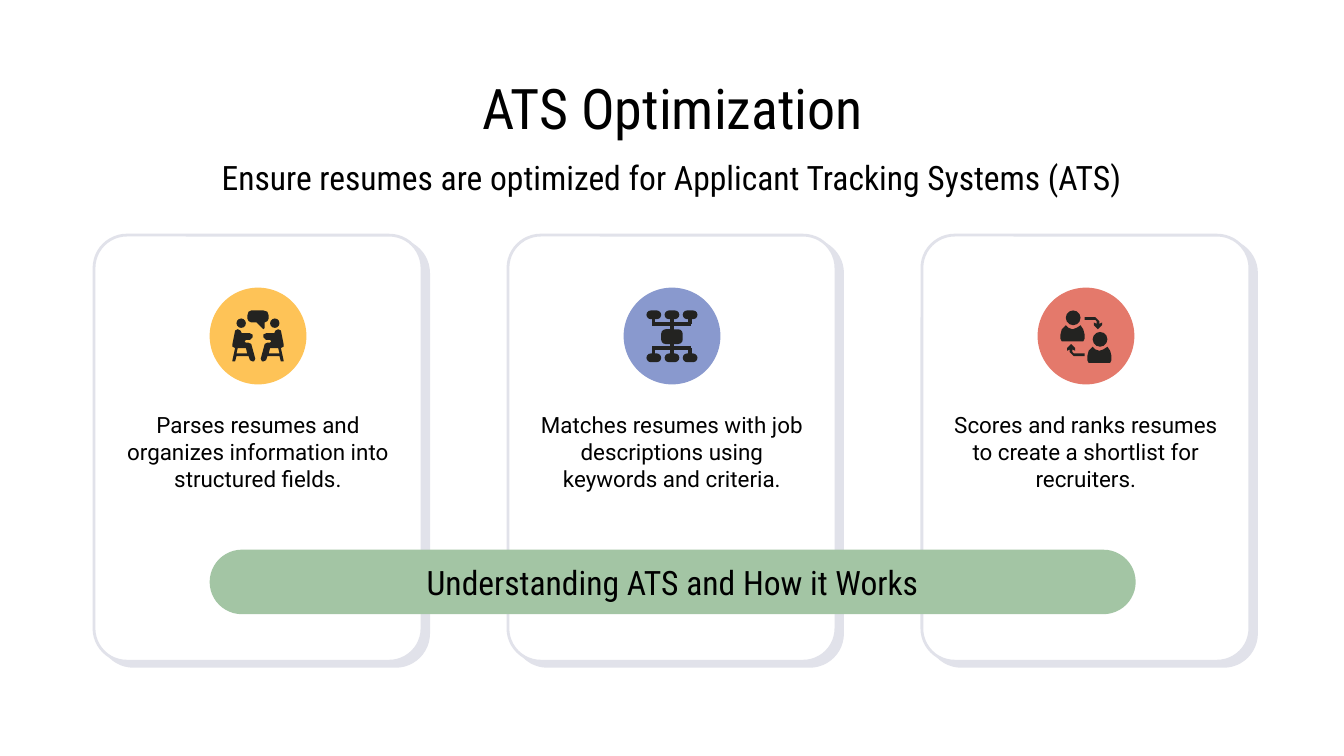
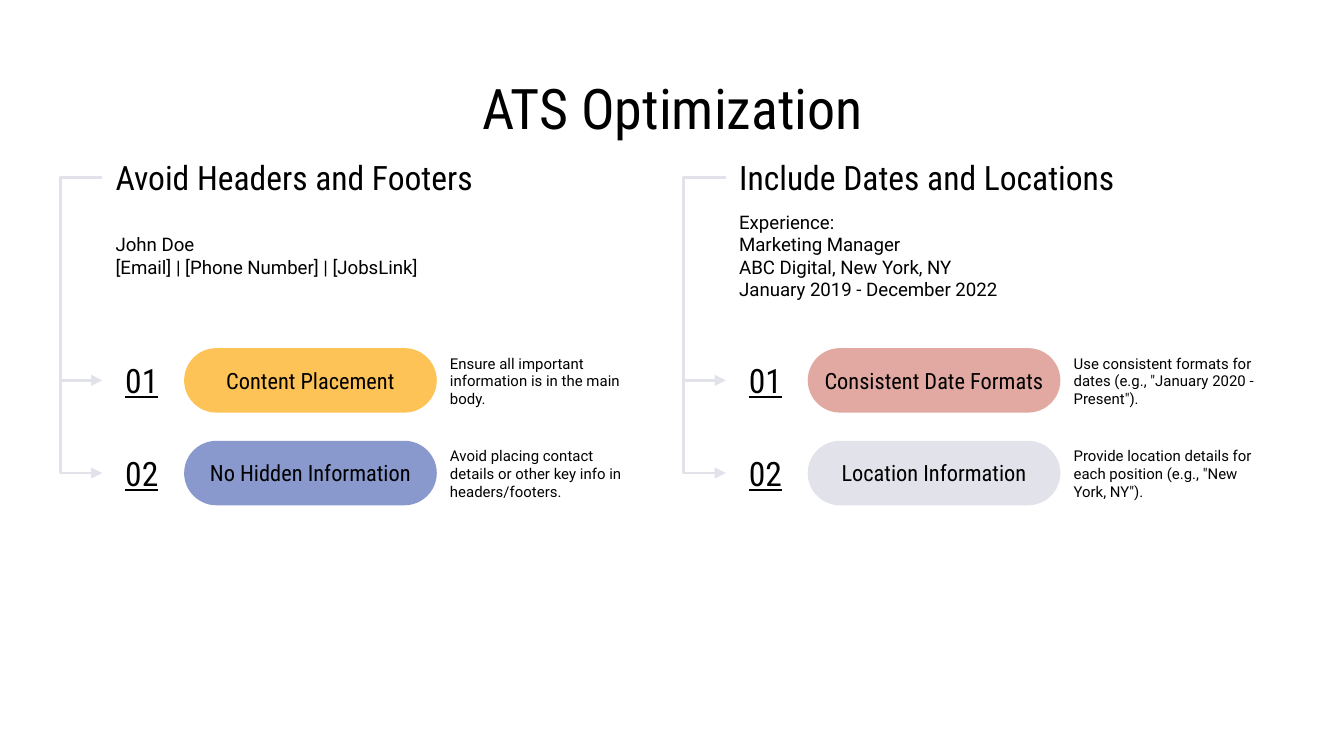
from dataclasses import dataclass

from lxml.etree import SubElement
from pptx import Presentation
from pptx.dml.color import RGBColor
from pptx.enum.shapes import MSO_CONNECTOR, MSO_SHAPE
from pptx.enum.text import MSO_ANCHOR, MSO_AUTO_SIZE, PP_ALIGN
from pptx.oxml.ns import qn
from pptx.util import Emu, Inches, Pt

# Shared look
BLACK = RGBColor(0x00, 0x00, 0x00)
WHITE = RGBColor(0xFF, 0xFF, 0xFF)
INK = RGBColor(0x23, 0x23, 0x21)
MIST = RGBColor(0xE1, 0xE2, 0xEA)
YELLOW = RGBColor(0xFE, 0xC3, 0x57)
BLUE = RGBColor(0x89, 0x99, 0xCE)
RED = RGBColor(0xE4, 0x79, 0x6B)
PINK = RGBColor(0xE2, 0xA8, 0xA2)
GREEN = RGBColor(0xA3, 0xC5, 0xA4)
HEADING_FONT = "Roboto Condensed"
BODY_FONT = "Roboto"
TITLE = "ATS Optimization"

# Square grid: the slide is 100 columns wide
SLIDE_WIDTH = Inches(10)
SLIDE_HEIGHT = SLIDE_WIDTH * 9 // 16
COLUMN = SLIDE_WIDTH // 100
ICON_UNIT = COLUMN // 10


@dataclass
class Box:
    """An area in grid columns and rows."""
    left: float
    top: float
    width: float
    height: float

    def inside(self, left, top, width, height):
        return Box(self.left + left, self.top + top, width, height)

    def lengths(self):
        return [Emu(round(n * COLUMN))
                for n in (self.left, self.top, self.width, self.height)]


TITLE_BOX = Box(7.9, 5.9, 84.3, 4.2)


# Text and shape helpers
def write(shape, lines, size, font=HEADING_FONT, align=PP_ALIGN.CENTER,
          side_inset=0.1, underline=False):
    frame = shape.text_frame
    frame.word_wrap = True
    frame.auto_size = MSO_AUTO_SIZE.NONE
    frame.vertical_anchor = MSO_ANCHOR.MIDDLE
    frame.margin_left = frame.margin_right = Inches(side_inset)
    frame.margin_top = frame.margin_bottom = Inches(0.1)
    frame.text = lines
    for para in frame.paragraphs:
        properties = para._p.get_or_add_pPr()
        properties.set("marL", "0")
        properties.set("indent", "0")
        SubElement(properties, qn("a:buNone"))
        para.alignment = align
        para.space_before = Pt(0)
        para.font.name = font
        para.font.size = Pt(size)
        para.font.bold = False
        para.font.underline = underline
        para.font.color.rgb = BLACK


def fill_placeholder(shape, box, lines, size, **style):
    shape.left, shape.top, shape.width, shape.height = box.lengths()
    write(shape, lines, size, **style)


def add_text(page, box, lines, size, **style):
    write(page.shapes.add_textbox(*box.lengths()), lines, size, **style)


def paint(shape, color):
    shape.shadow.inherit = False
    shape.fill.solid()
    shape.fill.fore_color.rgb = color
    shape.line.fill.background()
    return shape


def add_filled(page, kind, box, color):
    return paint(page.shapes.add_shape(kind, *box.lengths()), color)


def add_pill(page, box, label, size, color):
    pill = add_filled(page, MSO_SHAPE.ROUNDED_RECTANGLE, box, color)
    pill.adjustments[0] = 0.5
    write(pill, label, size, side_inset=0)


def add_line(page, kind, ends, color, width):
    line = page.shapes.add_connector(kind, *(Emu(round(n)) for n in ends))
    line.line.color.rgb = color
    line.line.width = Pt(width)
    SubElement(line._element.spPr, qn("a:effectLst"))
    return line


# Icons, drawn in tenths of a column from the corner of their disc
SITTER = [(21, 31), (19, 32), (17, 42), (17, 44), (19, 45), (17, 54), (17, 55),
          (19, 55), (20, 51), (29, 51), (30, 54), (32, 55), (33, 55), (34, 53),
          (31, 42), (29, 41), (27, 41), (26, 40), (27, 39), (30, 39), (32, 37),
          (32, 35), (30, 34), (24, 34), (23, 32)]
STOOL_GAP = [(27, 45), (28, 49), (20, 49), (21, 45)]
BUBBLE = [(31, 17), (40, 17), (43, 18), (44, 21), (44, 23), (43, 25), (41, 26),
          (41, 30), (40, 31), (39, 30), (35, 26), (31, 26), (29, 25), (28, 23),
          (28, 21), (29, 18)]
SHOULDERS = [(4, 0), (1, 3), (0, 7), (0, 10), (1, 12), (17, 12), (18, 10),
             (18, 7), (17, 3), (15, 0), (12, 2), (9, 3), (6, 2)]
TURN_ARROW = [(35, 22), (43, 22), (46, 25), (46, 27), (48, 26), (48, 28),
              (45, 31), (42, 28), (42, 26), (44, 27), (44, 25), (43, 24),
              (35, 24)]


def icon_part(page, disc, kind, left, top, width, height):
    box = disc.inside(left / 10, top / 10, width / 10, height / 10)
    return add_filled(page, kind, box, INK)


def icon_outline(page, disc, *contours):
    builder = page.shapes.build_freeform(*contours[0][0], scale=ICON_UNIT)
    for contour in contours:
        if contour is not contours[0]:
            builder.move_to(*contour[0])
        builder.add_line_segments(contour[1:], close=True)
    left, top, _, _ = disc.lengths()
    paint(builder.convert_to_shape(left, top), INK)


def icon_line(page, disc, *ends):
    left, top, _, _ = disc.lengths()
    corners = [n * ICON_UNIT + origin for n, origin in zip(ends, (left, top) * 2)]
    add_line(page, MSO_CONNECTOR.STRAIGHT, corners, INK, 1.75)


def draw_interview(page, disc):
    def mirrored(points):
        return [(72 - x, y) for x, y in points]

    icon_outline(page, disc, BUBBLE)
    for head_left in (20, 45):
        icon_part(page, disc, MSO_SHAPE.OVAL, head_left, 23, 7, 7)
    icon_outline(page, disc, SITTER, STOOL_GAP)
    icon_outline(page, disc, mirrored(SITTER), mirrored(STOOL_GAP))


def draw_network(page, disc):
    icon_line(page, disc, 36, 22, 36, 50)
    for node_top, edge, bus in ((17, 23, 27), (49, 50, 45)):
        icon_line(page, disc, 21.5, bus, 50.5, bus)
        for x in (22.5, 49.5):
            icon_line(page, disc, x, edge, x, bus)
        for left in (17, 30.5, 44):
            node = icon_part(page, disc, MSO_SHAPE.ROUNDED_RECTANGLE,
                             left, node_top, 11, 6.5)
            node.adjustments[0] = 0.5
    hub = icon_part(page, disc, MSO_SHAPE.ROUNDED_RECTANGLE, 28, 31, 16, 11)
    hub.adjustments[0] = 0.3


def draw_exchange(page, disc):
    for left, top in ((17, 28), (37, 44)):
        icon_part(page, disc, MSO_SHAPE.OVAL, left + 4, top - 11, 11, 11)
        icon_outline(page, disc, [(x + left, y + top) for x, y in SHOULDERS])
    icon_outline(page, disc, TURN_ARROW)
    icon_outline(page, disc, [(70 - x, 73 - y) for x, y in TURN_ARROW])


# Slide 1: three cards under one banner
CARDS = [
    ("Parses resumes and organizes information into structured fields.",
     YELLOW, draw_interview),
    ("Matches resumes with job descriptions using keywords and criteria.",
     BLUE, draw_network),
    ("Scores and ranks resumes to create a shortlist for recruiters.",
     RED, draw_exchange),
]


def add_card(page, box, text, color, draw_icon):
    card = add_filled(page, MSO_SHAPE.ROUNDED_RECTANGLE, box, WHITE)
    card.adjustments[0] = 0.1
    card.line.color.rgb = MIST
    card.line.width = Pt(1.5)
    # Hard offset shadow
    effects = card._element.spPr.find(qn("a:effectLst"))
    shadow = SubElement(effects, qn("a:outerShdw"), blurRad="0",
                        dist=str(Pt(4.5)), dir=str(38 * 60000),
                        algn="bl", rotWithShape="0")
    SubElement(shadow, qn("a:srgbClr"), val=str(MIST))

    disc = box.inside((box.width - 7.2) / 2, 3.9, 7.2, 7.2)
    add_filled(page, MSO_SHAPE.OVAL, disc, color)
    draw_icon(page, disc)
    add_text(page, box.inside(1.4, 13, box.width - 2.8, 6.2), text, 12,
             font=BODY_FONT)


def build_overview(deck):
    page = deck.slides.add_slide(deck.slide_layouts[0])
    fill_placeholder(page.shapes.title, TITLE_BOX, TITLE, 30)
    fill_placeholder(
        page.placeholders[1], Box(7, 11, 86, 4.4),
        "Ensure resumes are optimized for Applicant Tracking Systems (ATS)", 18)
    area = Box(7, 17.5, 86, 31.7)
    card_width = 24.4
    pitch = (area.width - card_width) / (len(CARDS) - 1)
    for index, card in enumerate(CARDS):
        add_card(page, area.inside(index * pitch, 0, card_width, area.height),
                 *card)
    add_pill(page, area.inside(8.6, 23.4, 68.9, 4.8),
             "Understanding ATS and How it Works", 18, GREEN)


# Slide 2: two panels of numbered tips
PANELS = [
    ("Avoid Headers and Footers",
     "John Doe\n[Email] | [Phone Number] | [JobsLink]",
     [("Content Placement", YELLOW,
       "Ensure all important information is in the main body."),
      ("No Hidden Information", BLUE,
       "Avoid placing contact details or other key info in headers/footers.")]),
    ("Include Dates and Locations",
     "Experience:\nMarketing Manager\nABC Digital, New York, NY\n"
     "January 2019 - December 2022",
     [("Consistent Date Formats", PINK,
       'Use consistent formats for dates (e.g., "January 2020 - Present").'),
      ("Location Information", MIST,
       'Provide location details for each position (e.g., "New York, NY").')]),
]


def add_bracket(page, box, start, end):
    """Arrow that leaves the box to the left and comes back lower down."""
    left, top, _, _ = box.lengths()
    sliver = 600  # a bent connector needs some width for its bend to scale
    bracket = add_line(page, MSO_CONNECTOR.ELBOW,
                       (left, top + start * COLUMN,
                        left + sliver, top + end * COLUMN), MIST, 1.5)
    bend = round(-2.6 * COLUMN / sliver * 100000)
    guides = bracket._element.spPr.find(qn("a:prstGeom")).get_or_add_avLst()
    SubElement(guides, qn("a:gd"), name="adj1", fmla=f"val {bend}")
    SubElement(bracket.line._get_or_add_ln(), qn("a:tailEnd"), type="triangle")


def add_tip(page, box, number, label, color, note):
    add_text(page, box.inside(0, 0.3, 5.9, 4.2), f"{number:02}", 18,
             underline=True)
    add_pill(page, box.inside(6.1, 0, 18.8, box.height), label, 12, color)
    add_text(page, box.inside(24.9, -0.2, 16, 5.3), note, 8,
             font=BODY_FONT, align=PP_ALIGN.LEFT)


def add_panel(page, box, heading_holder, detail_holder, heading, details, tips):
    fill_placeholder(heading_holder, box.inside(0, 0, box.width, 4.4),
                     heading, 18, align=PP_ALIGN.LEFT)
    fill_placeholder(detail_holder, box.inside(0, 5.4, box.width, 5.2),
                     details, 10, font=BODY_FONT, align=PP_ALIGN.LEFT)
    for index, tip in enumerate(tips):
        row = box.inside(0, 14.9 + index * 6.9, box.width, 4.8)
        add_bracket(page, box, 2.2, row.top - box.top + row.height / 2)
        add_tip(page, row, index + 1, *tip)


def build_tips(deck):
    page = deck.slides.add_slide(deck.slide_layouts[4])
    fill_placeholder(page.shapes.title, TITLE_BOX, TITLE, 30)
    for index, panel in enumerate(PANELS):
        first = 1 + 2 * index
        add_panel(page, Box(7.6 + index * 46.4, 11, 41, 26.6),
                  page.placeholders[first], page.placeholders[first + 1], *panel)


def main():
    deck = Presentation()
    deck.slide_width, deck.slide_height = SLIDE_WIDTH, SLIDE_HEIGHT
    build_overview(deck)
    build_tips(deck)
    deck.save("out.pptx")


if __name__ == "__main__":
    main()
